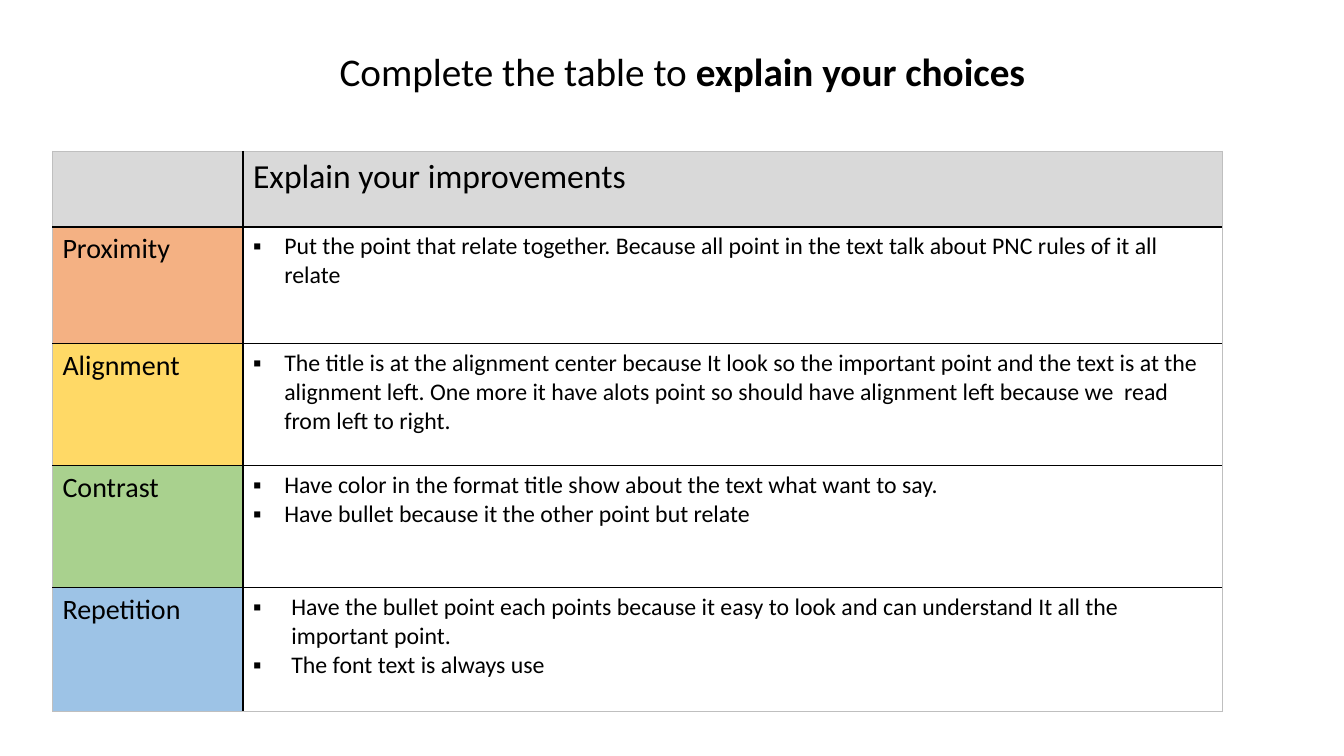
import lxml.etree
import pptx
import pptx.dml.color
import pptx.oxml.ns
import pptx.util

Inches = pptx.util.Inches
qn = pptx.oxml.ns.qn


def rgb(value):
    return pptx.dml.color.RGBColor.from_string(value)


def add_text(p, text, size=17, bold=False, bullet=None, indent=0):
    if bullet:
        pPr = p._p.get_or_add_pPr()
        pPr.set("marL", str(Inches(indent)))
        pPr.set("indent", str(-Inches(indent)))
        lxml.etree.SubElement(pPr, qn("a:buFont")).set("typeface", "Calibri")
        lxml.etree.SubElement(pPr, qn("a:buChar")).set("char", bullet)
    r = p.add_run()
    r.text = text
    r.font.name = "Calibri"
    r.font.size = pptx.util.Pt(size)
    r.font.bold = bold
    r.font.color.rgb = rgb("000000")


prs = pptx.Presentation()
prs.slide_width = Inches(13.33)
prs.slide_height = Inches(7.5)
s = prs.slides.add_slide(prs.slide_layouts[6])

rows = [
    ("Proximity", "F4B183", 1.16, 0.31, [
        "Put the point that relate together. Because all point in the text talk about PNC rules of it all relate",
    ]),
    ("Alignment", "FFD966", 1.21, 0.31, [
        "The title is at the alignment center because It look so the important point and the text is at the "
        "alignment left. One more it have alots point so should have alignment left because we  read "
        "from left to right.",
    ]),
    ("Contrast", "A9D18E", 1.21, 0.31, [
        "Have color in the format title show about the text what want to say.",
        "Have bullet because it the other point but relate",
    ]),
    ("Repetition", "9DC3E6", 1.23, 0.38, [
        "Have the bullet point each points because it easy to look and can understand It all the important point.",
        "The font text is always use",
    ]),
]

gf = s.shapes.add_table(5, 2, Inches(0.52), Inches(1.5), Inches(11.6), Inches(5.56))
table = gf.table
table.first_row = False
table.horz_banding = False
table.columns[0].width = Inches(1.89)
table.columns[1].width = Inches(9.71)
table.rows[0].height = Inches(0.75)

for i in range(5):
    for j in range(2):
        tcPr = table.cell(i, j)._tc.get_or_add_tcPr()
        outer = {"L": j == 0, "R": j == 1, "T": i == 0, "B": i == 4}
        for side, is_outer in outer.items():
            under_header = (i, side) in ((0, "B"), (1, "T"))
            width = 0.5 if is_outer else 1.5 if under_header else 1
            ln = lxml.etree.SubElement(tcPr, qn("a:ln" + side), w=str(pptx.util.Pt(width)))
            fill = lxml.etree.SubElement(ln, qn("a:solidFill"))
            color = "BFBFBF" if is_outer else "000000"
            lxml.etree.SubElement(fill, qn("a:srgbClr"), val=color)

for cell in table.rows[0].cells:
    cell.fill.solid()
    cell.fill.fore_color.rgb = rgb("D9D9D9")
add_text(table.cell(0, 1).text_frame.paragraphs[0], "Explain your improvements", size=24)

for i, (principle, color, height, indent, points) in enumerate(rows, 1):
    table.rows[i].height = Inches(height)
    label, answer = table.cell(i, 0), table.cell(i, 1)
    label.fill.solid()
    label.fill.fore_color.rgb = rgb(color)
    answer.fill.background()
    add_text(label.text_frame.paragraphs[0], principle, size=20)
    tf = answer.text_frame
    for n, point in enumerate(points):
        p = tf.add_paragraph() if n else tf.paragraphs[0]
        add_text(p, point, bullet="▪", indent=indent)

title = s.shapes.add_textbox(Inches(3.27), Inches(0.42), Inches(7.07), Inches(0.57))
tf = title.text_frame
tf.word_wrap = False
p = tf.paragraphs[0]
add_text(p, "Complete the table to ", size=28)
add_text(p, "explain your choices", size=28, bold=True)

prs.save("out.pptx")
